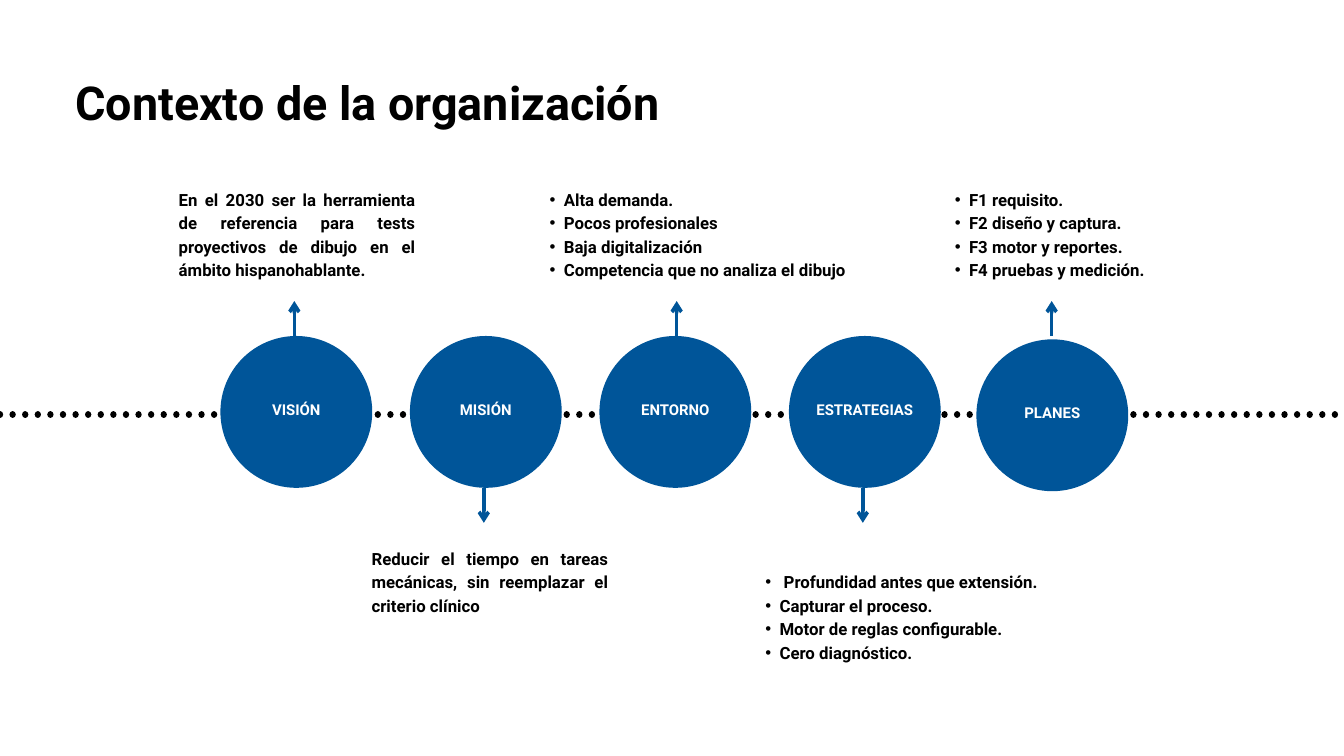
from lxml import etree
from pptx import Presentation
from pptx import util as u
from pptx.dml.color import RGBColor
from pptx.enum import dml, shapes, text
from pptx.oxml.ns import qn

COLUMNS, ROWS = 20, 11.25
COLORS = {"background": "FFFFFF", "ink": "000000", "blue": "005599", "white": "FFFFFF"}
FONT = "Roboto"
DIAMETER, STEP = 2.26, 2.82
ARROW_LENGTH = 0.52
AXIS_ROW = 6.17
LEFT, CENTER, JUSTIFY = text.PP_ALIGN.LEFT, text.PP_ALIGN.CENTER, text.PP_ALIGN.JUSTIFY

TITLE = {"size": 50, "spacing": 53.5, "color": "ink", "alignment": LEFT}
LABEL = {"size": 16, "spacing": 22.4, "color": "white", "alignment": CENTER}
BODY = {"size": 18, "spacing": 25.2, "color": "ink", "alignment": JUSTIFY}
LIST = {**BODY, "alignment": LEFT, "bullet": True}

# Each stage: label, circle (column, row), arrow column, arrow direction, note box, note lines, note style
STAGES = [
    ("VISIÓN", (3.28, 5), 4.38, -1, (2.66, 2.77, 3.52, 1.37),
     ["En el 2030 ser la herramienta de referencia para tests proyectivos "
      "de dibujo en el ámbito hispanohablante."], BODY),
    ("MISIÓN", (3.28 + STEP, 5), 7.2, 1, (5.53, 8.11, 3.52, 1.02),
     ["Reducir el tiempo en tareas mecánicas, sin reemplazar el criterio clínico"], BODY),
    ("ENTORNO", (3.28 + 2 * STEP, 5), 10.07, -1, (7.96, 2.77, 4.68, 1.37),
     ["Alta demanda.", "Pocos profesionales", "Baja digitalización",
      "Competencia que no analiza el dibujo"], LIST),
    ("ESTRATEGIAS", (3.28 + 3 * STEP, 5), 12.84, 1, (11.17, 8.46, 4.58, 1.37),
     [" Profundidad antes que extensión.", "Capturar el proceso.",
      "Motor de reglas configurable.", "Cero diagnóstico."], LIST),
    ("PLANES", (14.53, 5.05), 15.65, -1, (13.99, 2.77, 3.52, 1.37),
     ["F1 requisito.", "F2 diseño y captura.", "F3 motor y reportes.",
      "F4 pruebas y medición."], LIST),
]


def set_attributes(target, values):
    for name, value in values.items():
        setattr(target, name, value)


def color(name):
    return RGBColor.from_string(COLORS[name])


def grid(presentation, *lengths):
    """Turn alternating columns and rows into slide lengths."""
    units = (presentation.slide_width / COLUMNS, presentation.slide_height / ROWS)
    return [round(length * units[index % 2]) for index, length in enumerate(lengths)]


def add_bullet(paragraph):
    paragraph.level = 1
    properties = paragraph._p.get_or_add_pPr()
    properties.set("marL", str(u.Inches(0.43)))
    properties.set("indent", str(u.Inches(-0.21)))
    etree.SubElement(properties, qn("a:buFont")).set("typeface", "Arial")
    etree.SubElement(properties, qn("a:buChar")).set("char", "•")


def write_text(shape, lines, style, **frame_values):
    frame = shape.text_frame
    set_attributes(frame, {
        "word_wrap": True, "auto_size": text.MSO_AUTO_SIZE.NONE,
        "vertical_anchor": text.MSO_ANCHOR.TOP,
        "margin_left": 0, "margin_right": 0, "margin_top": 0, "margin_bottom": 0,
        **frame_values})
    for index, line in enumerate(lines):
        paragraph = frame.add_paragraph() if index else frame.paragraphs[0]
        if style.get("bullet"):
            add_bullet(paragraph)
        set_attributes(paragraph, {
            "alignment": style["alignment"], "line_spacing": u.Pt(style["spacing"]),
            "space_before": u.Pt(0), "space_after": u.Pt(0)})
        run = paragraph.add_run()
        run.text = line
        set_attributes(run.font, {"name": FONT, "size": u.Pt(style["size"]), "bold": True})
        run.font.color.rgb = color(style["color"])


def add_line(presentation, slide, ends, color_name, width):
    line = slide.shapes.add_connector(shapes.MSO_CONNECTOR.STRAIGHT, *grid(presentation, *ends))
    line.line.color.rgb = color(color_name)
    line.line.width = u.Pt(width)
    etree.SubElement(line._element.spPr, qn("a:effectLst"))
    return line


def add_title(presentation, slide, box):
    title = slide.shapes.title
    set_attributes(title, dict(zip(("left", "top", "width", "height"), grid(presentation, *box))))
    write_text(title, ["Contexto de la organización"], TITLE)


def add_axis(presentation, slide, row):
    axis = add_line(presentation, slide, (0, row, COLUMNS, row), "ink", 6.75)
    axis.line.dash_style = dml.MSO_LINE.ROUND_DOT
    axis.line._get_or_add_ln().set("cap", "rnd")


def add_circle(presentation, slide, box, label):
    circle = slide.shapes.add_shape(shapes.MSO_SHAPE.OVAL, *grid(presentation, *box))
    circle.shadow.inherit = False
    circle.fill.solid()
    circle.fill.fore_color.rgb = color("blue")
    circle.line.fill.background()
    write_text(circle, [label], LABEL, word_wrap=False,
               vertical_anchor=text.MSO_ANCHOR.MIDDLE, margin_bottom=u.Inches(0.12))


def add_arrow(presentation, slide, column, start, direction):
    ends = (column, start, column, start + direction * ARROW_LENGTH)
    arrow = add_line(presentation, slide, ends, "blue", 3.75)
    etree.SubElement(arrow.line._get_or_add_ln(), qn("a:tailEnd")).set("type", "arrow")


def add_stage(presentation, slide, stage):
    label, (column, row), arrow_column, direction, note_box, lines, style = stage
    add_circle(presentation, slide, (column, row, DIAMETER, DIAMETER), label)
    start = 5 if direction < 0 else row + DIAMETER
    add_arrow(presentation, slide, arrow_column, start, direction)
    note = slide.shapes.add_textbox(*grid(presentation, *note_box))
    write_text(note, lines, style)


def main():
    presentation = Presentation()
    presentation.slide_width = u.Inches(20)
    presentation.slide_height = u.Inches(11.25)
    slide = presentation.slides.add_slide(presentation.slide_layouts[5])
    slide.background.fill.solid()
    slide.background.fill.fore_color.rgb = color("background")

    # Title, dotted timeline, then the stages on it
    add_title(presentation, slide, (1.12, 1.19, 8.88, 0.77))
    add_axis(presentation, slide, AXIS_ROW)
    for stage in STAGES:
        add_stage(presentation, slide, stage)
    presentation.save("out.pptx")


if __name__ == "__main__":
    main()
